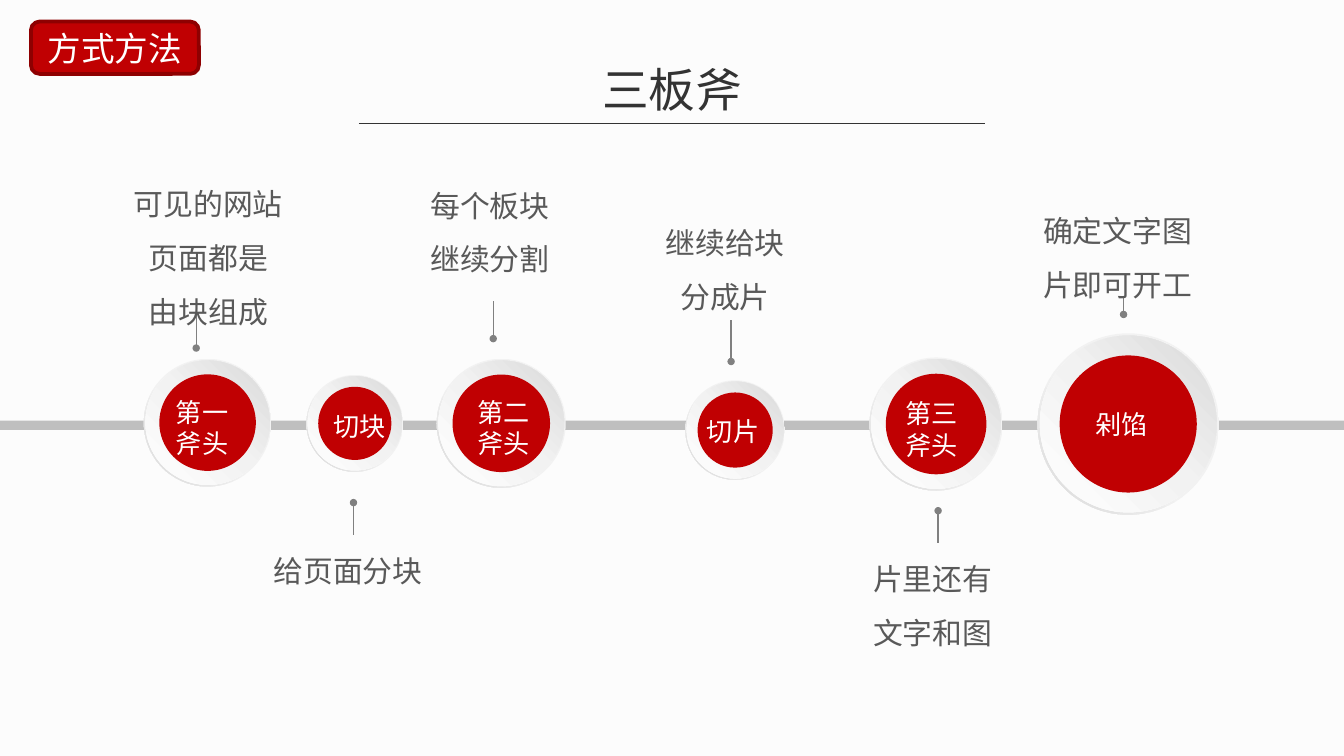
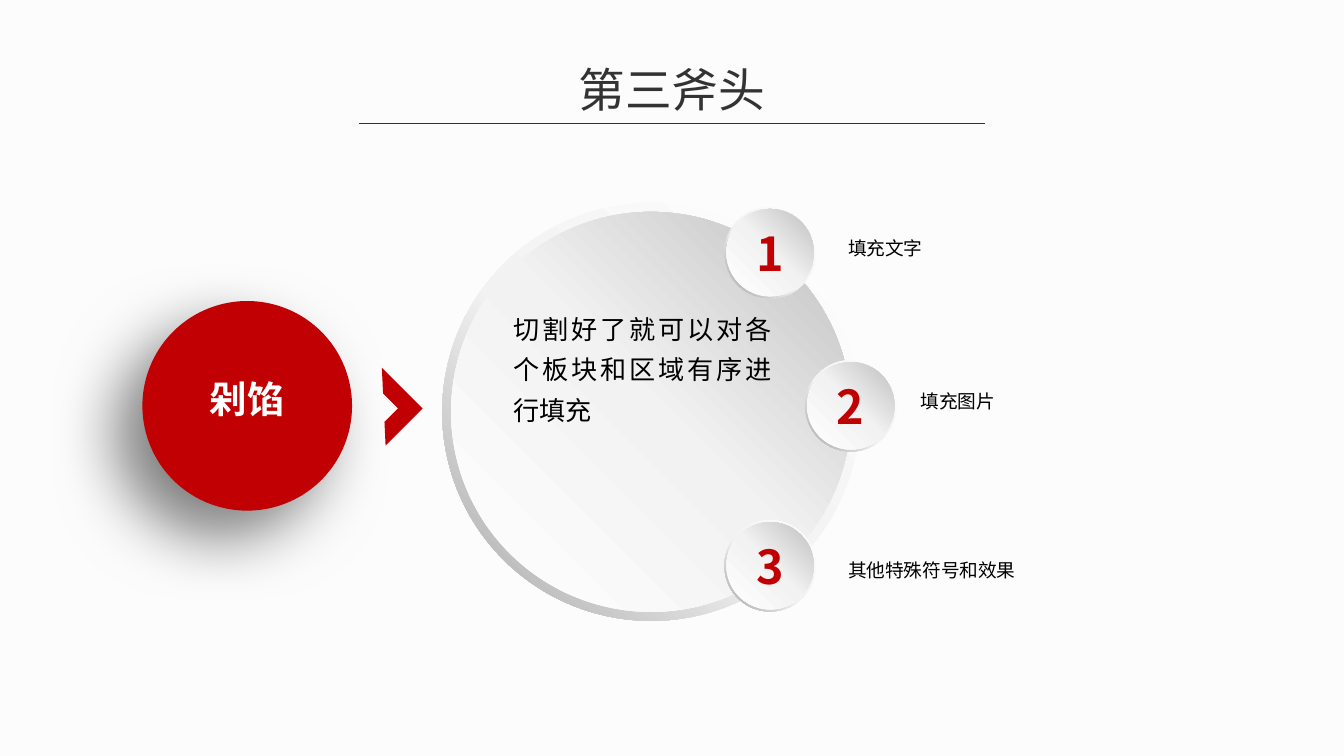
from dataclasses import dataclass

from lxml import etree
from pptx import Presentation
from pptx.dml.color import RGBColor
from pptx.enum import shapes, text
from pptx.oxml.ns import qn
from pptx.util import Inches, Pt

SANS = "Noto Sans CJK SC"
BACKGROUND = RGBColor(0xFC, 0xFC, 0xFC)
TITLE = RGBColor(0x33, 0x33, 0x33)
RED = RGBColor(0xC0, 0x00, 0x02)
DARK_RED = RGBColor(0x8E, 0x00, 0x01)
WHITE = RGBColor(0xFF, 0xFF, 0xFF)
BLACK = RGBColor(0x00, 0x00, 0x00)
BAR = RGBColor(0xBF, 0xBF, 0xBF)
STEM = RGBColor(0x80, 0x80, 0x80)
CAPTION = RGBColor(0x59, 0x59, 0x59)
PALE = RGBColor(0xF2, 0xF2, 0xF2)
LIGHT_GREY = RGBColor(0xD9, 0xD9, 0xD9)
MID_GREY = RGBColor(0xA6, 0xA6, 0xA6)

LEFT, CENTER = text.PP_ALIGN.LEFT, text.PP_ALIGN.CENTER
JUSTIFY = text.PP_ALIGN.JUSTIFY
OVAL = shapes.MSO_SHAPE.OVAL
Box = tuple[float, float, float, float]


@dataclass(frozen=True)
class Plate:
    """Rim and face of a raised disc; face is a share of the diameter."""
    rim: tuple
    surface: tuple
    face: float


@dataclass(frozen=True)
class Node:
    left: float
    top: float
    diameter: float
    label: str
    label_box: Box


@dataclass(frozen=True)
class Callout:
    x: float
    dot_y: float
    end_y: float
    caption: str
    caption_box: Box


@dataclass(frozen=True)
class Badge:
    left: float
    top: float
    caption: str
    caption_left: float
    caption_top: float


NODE_PLATE = Plate(((0, PALE), (55, PALE), (100, LIGHT_GREY)),
                   ((0, WHITE), (51, PALE), (100, LIGHT_GREY)), 0.975)
DISC_PLATE = Plate(((0, WHITE), (55, PALE), (100, MID_GREY)),
                   ((0, WHITE), (51, PALE), (100, BAR)), 0.957)
CORE = 0.756  # red centre as a share of the node diameter
BADGE_SIZE = 0.68

NODES = (
    Node(1.07, 2.67, 0.95, "第一斧头", (1.16, 2.87, 0.87, 0.62)),
    Node(2.28, 2.79, 0.72, "切块", (2.33, 2.97, 0.82, 0.39)),
    Node(3.25, 2.67, 0.96, "第二斧头", (3.4, 2.87, 0.81, 0.62)),
    Node(5.1, 2.83, 0.74, "切片", (5.11, 3.01, 1.67, 0.39)),
    Node(6.47, 2.66, 0.99, "第三斧头", (6.59, 2.88, 0.73, 0.62)),
    Node(7.72, 2.48, 1.35, "剁馅", (8, 2.96, 0.8, 0.39)),
)
CALLOUTS = (
    Callout(1.46, 2.59, 2.34, "可见的网站\n页面都是\n由块组成", (0.49, 1.25, 2.12, 1.21)),
    Callout(3.67, 2.52, 2.24, "每个板块\n继续分割", (2.9, 1.26, 1.49, 0.81)),
    Callout(5.44, 2.69, 2.38, "继续给块\n分成片", (4.62, 1.54, 1.55, 0.81)),
    Callout(8.36, 2.34, 2.2, "确定文字图片即可开工", (7.58, 1.45, 1.47, 0.81)),
    Callout(2.63, 3.74, 3.98, "给页面分块", (1.82, 3.98, 1.54, 0.36)),
    Callout(6.98, 3.8, 4.04, "片里还有\n文字和图", (6.17, 4.04, 1.54, 0.76)),
)
BADGES = (
    Badge(5.39, 1.54, "填充文字", 6.31, 1.72),
    Badge(5.99, 2.68, "填充图片", 6.85, 2.86),
    Badge(5.39, 3.87, "其他特殊符号和效果", 6.31, 4.12),
)


# Drawing helpers
def inches(*values: float) -> list:
    return [Inches(value) for value in values]


def write_text(frame, content: str, *, size: float, color: RGBColor, font: str = SANS,
               bold: bool = False, align=CENTER, spacing=None) -> None:
    frame.word_wrap = True
    for index, line in enumerate(content.split("\n")):
        paragraph = frame.add_paragraph() if index else frame.paragraphs[0]
        paragraph.alignment = align
        if spacing is not None:
            paragraph.line_spacing = spacing
        run = paragraph.add_run()
        run.text = line
        run.font.size = Pt(size)
        run.font.bold = bold
        run.font.color.rgb = color
        run.font.name = font
        east_asian = etree.SubElement(run.font._element, qn("a:ea"))
        east_asian.set("typeface", font)


def add_text(parent, box: Box, content: str, *, inset=(0.1, 0.05), wrap: bool = True,
             **style) -> None:
    frame = parent.add_textbox(*inches(*box)).text_frame
    frame.margin_left = frame.margin_right = Inches(inset[0])
    frame.margin_top = frame.margin_bottom = Inches(inset[1])
    frame.auto_size = text.MSO_AUTO_SIZE.SHAPE_TO_FIT_TEXT
    write_text(frame, content, **style)
    frame.word_wrap = wrap


def add_shape(parent, kind, box: Box, fill: RGBColor | None = None):
    shape = parent.add_shape(kind, *inches(*box))
    shape.shadow.inherit = False
    shape.line.fill.background()
    if fill is None:
        shape.fill.background()
    else:
        shape.fill.solid()
        shape.fill.fore_color.rgb = fill
    return shape


def fill_gradient(shape, stops: tuple, angle: int) -> None:
    gradient = etree.Element(qn("a:gradFill"), rotWithShape="1")
    stop_list = etree.SubElement(gradient, qn("a:gsLst"))
    for position, color in stops:
        stop = etree.SubElement(stop_list, qn("a:gs"), pos=str(position * 1000))
        etree.SubElement(stop, qn("a:srgbClr"), val=str(color))
    etree.SubElement(gradient, qn("a:lin"), ang=str(angle * 60000), scaled="0")
    properties = shape.element.spPr
    properties.replace(properties.find(qn("a:noFill")), gradient)


def add_soft_shadow(shape) -> None:
    effects = shape.element.spPr.find(qn("a:effectLst"))
    shadow = etree.SubElement(effects, qn("a:outerShdw"), blurRad=str(Pt(35)),
                              dist=str(Pt(20)), dir=str(135 * 60000),
                              algn="tr", rotWithShape="0")
    color = etree.SubElement(shadow, qn("a:srgbClr"), val=str(BLACK))
    etree.SubElement(color, qn("a:alpha"), val="50000")


def add_line(parent, start: tuple, end: tuple, color: RGBColor, dot: bool = False) -> None:
    line = parent.add_connector(shapes.MSO_CONNECTOR.STRAIGHT, *inches(*start, *end))
    line.line.color.rgb = color
    line.line.width = Pt(0.75)
    if dot:
        etree.SubElement(line.line._get_or_add_ln(), qn("a:headEnd"),
                         type="oval", w="sm", len="sm")
    etree.SubElement(line.element.spPr, qn("a:effectLst"))


def centred(left: float, top: float, diameter: float, share: float) -> Box:
    gap = diameter * (1 - share) / 2
    return left + gap, top + gap, diameter * share, diameter * share


def add_plate(parent, left: float, top: float, diameter: float, plate: Plate):
    rim = add_shape(parent, shapes.MSO_SHAPE.DONUT, (left, top, diameter, diameter))
    rim.adjustments[0] = 0.049
    fill_gradient(rim, plate.rim, 135)
    face = add_shape(parent, OVAL, centred(left, top, diameter, plate.face))
    fill_gradient(face, plate.surface, 315)
    return face


# Repeated elements
def add_node(slide, node: Node) -> None:
    group = slide.shapes.add_group_shape().shapes
    circle = node.left, node.top, node.diameter
    add_plate(group, *circle, NODE_PLATE)
    add_shape(group, OVAL, centred(*circle, CORE), RED)
    add_text(group, node.label_box, node.label, inset=(0.15, 0.08),
             size=14, color=WHITE, align=LEFT)


def add_callout(slide, callout: Callout) -> None:
    group = slide.shapes.add_group_shape().shapes
    add_line(group, (callout.x, callout.dot_y), (callout.x, callout.end_y), STEM, dot=True)
    add_text(group, callout.caption_box, callout.caption, inset=(0.1, 0),
             size=16, color=CAPTION, spacing=1.5)


def add_badge(slide, number: int, badge: Badge) -> None:
    group = slide.shapes.add_group_shape().shapes
    face = add_plate(group, badge.left, badge.top, BADGE_SIZE, DISC_PLATE)
    face.text_frame.vertical_anchor = text.MSO_ANCHOR.MIDDLE
    write_text(face.text_frame, str(number), size=25, color=RED, bold=True)
    add_text(slide.shapes, (badge.caption_left, badge.caption_top, 2.41, 0.19), badge.caption,
             inset=(0, 0), size=10, color=BLACK, align=JUSTIFY, spacing=Pt(15))


# Slides
def add_titled_slide(presentation, title: str):
    slide = presentation.slides.add_slide(presentation.slide_layouts[6])
    slide.background.fill.solid()
    slide.background.fill.fore_color.rgb = BACKGROUND
    add_text(slide.shapes, (3.15, 0.4, 3.7, 0.52), title, size=25, color=TITLE)
    add_line(slide.shapes, (2.67, 0.92), (7.33, 0.92), TITLE)
    return slide


def build_timeline(presentation) -> None:
    slide = add_titled_slide(presentation, "三板斧")
    add_shape(slide.shapes, shapes.MSO_SHAPE.RECTANGLE, (0, 3.13, 10, 0.07), BAR)
    for node in NODES:
        add_node(slide, node)
    for callout in CALLOUTS:
        add_callout(slide, callout)
    # Section tag
    tag = add_shape(slide.shapes, shapes.MSO_SHAPE.ROUNDED_RECTANGLE,
                    (0.23, 0.16, 1.25, 0.39), RED)
    tag.line.color.rgb = DARK_RED
    tag.line.width = Pt(2)
    tag.text_frame.vertical_anchor = text.MSO_ANCHOR.MIDDLE
    write_text(tag.text_frame, "方式方法", size=18, color=WHITE, font="Calibri")


def build_filling(presentation) -> None:
    slide = add_titled_slide(presentation, "第三斧头")
    # Red disc, large plate and numbered badges
    add_soft_shadow(add_shape(slide.shapes, OVAL, (1.06, 2.24, 1.56, 1.56), RED))
    add_plate(slide.shapes.add_group_shape().shapes, 3.29, 1.51, 3.11, DISC_PLATE)
    for number, badge in enumerate(BADGES, start=1):
        add_badge(slide, number, badge)
    add_text(slide.shapes, (1.56, 2.8, 0.56, 0.34), "剁馅", inset=(0, 0), wrap=False,
             size=20, color=WHITE, bold=True)
    add_text(slide.shapes, (3.82, 2.26, 1.92, 0.92),
             "切割好了就可以对各个板块和区域有序进行填充", inset=(0, 0),
             size=14, color=BLACK, align=JUSTIFY, spacing=1.3)
    # Chevron between disc and plate
    chevron = add_shape(slide.shapes, shapes.MSO_SHAPE.HALF_FRAME, (2.66, 2.81, 0.39, 0.43), RED)
    chevron.rotation = 135


def main() -> None:
    presentation = Presentation()
    presentation.slide_width = Inches(10)
    presentation.slide_height = Inches(10) * 9 // 16
    build_timeline(presentation)
    build_filling(presentation)
    presentation.save("out.pptx")


if __name__ == "__main__":
    main()
